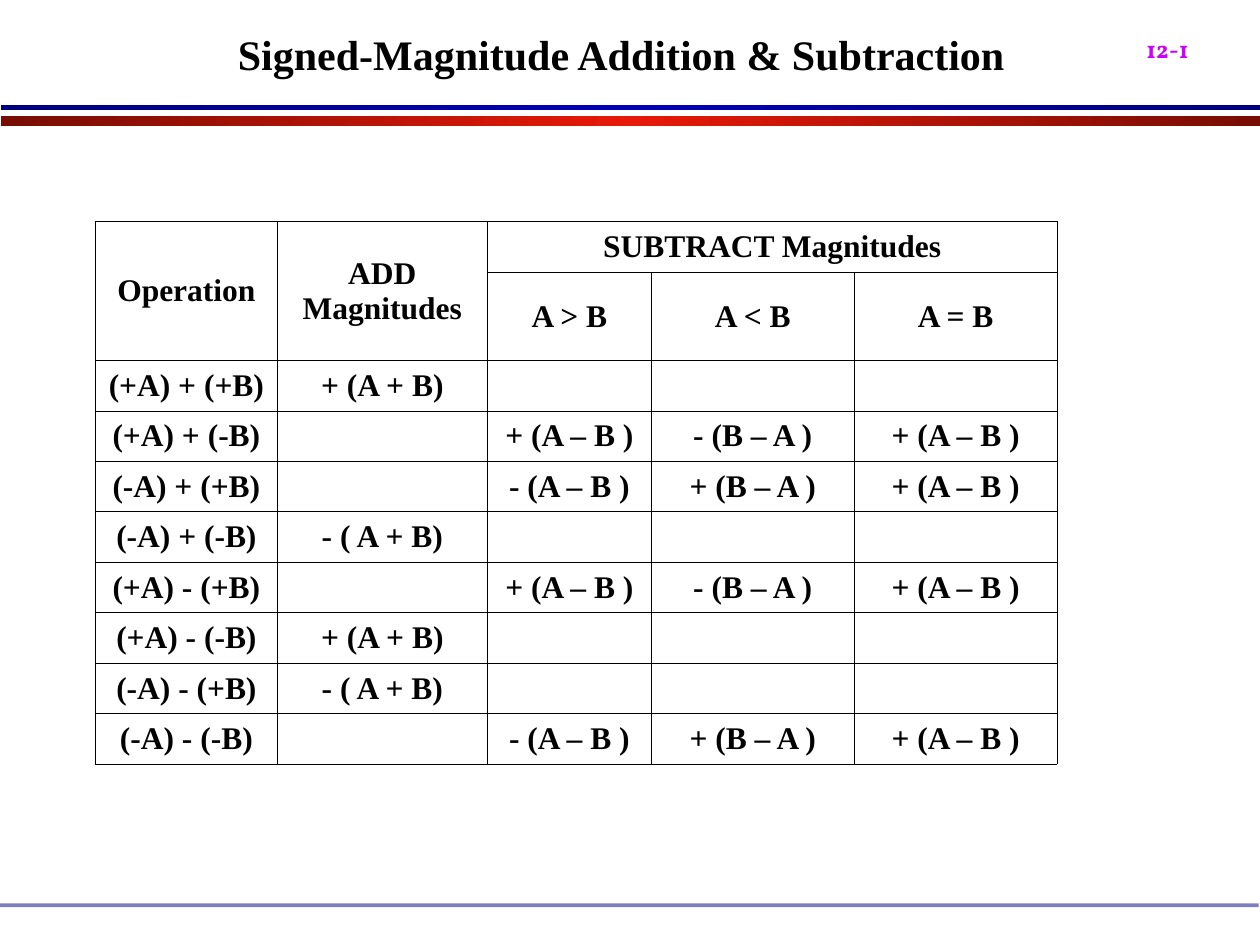
from copy import deepcopy
from dataclasses import dataclass
from typing import Any

from lxml.etree import SubElement
from pptx import Presentation
from pptx.dml.color import RGBColor
from pptx.enum.shapes import MSO_SHAPE
from pptx.enum.text import MSO_ANCHOR, PP_ALIGN
from pptx.oxml import parse_xml
from pptx.oxml.ns import nsdecls, qn
from pptx.util import Inches, Pt


@dataclass(frozen=True)
class Theme:
    """Colours, fonts and type sizes of the slide."""
    ink: str = "000000"
    number: str = "CC00FF"
    red_edge: str = "770D05"
    red_mid: str = "E71909"
    blue_edge: str = "00007F"
    blue_mid: str = "0000B6"
    footer: str = "000082"
    body_font: str = "Times New Roman"
    number_font: str = "Vollkorn"
    title_size: float = 24
    cell_size: float = 18
    border: float = 0.45


@dataclass(frozen=True)
class Bar:
    """A rule across the slide; with a middle colour it is a gradient."""
    left: float
    top: float
    height: float
    edge: str
    middle: str = ""


@dataclass(frozen=True)
class Operation:
    """One table row: the operation and its results."""
    name: str
    add: str = ""
    greater: str = ""
    less: str = ""
    equal: str = ""


T = Theme()
BAR_WIDTH = 9.99
BARS = [
    Bar(0.01, 0.92, 0.08, T.red_edge, T.red_mid),
    Bar(0.01, 0.83, 0.04, T.blue_edge, T.blue_mid),
    Bar(0, 7.17, 0.03, T.footer),
]
A_MINUS_B, B_MINUS_A = "(A – B )", "(B – A )"
PLUS_FIRST = ("", f"+ {A_MINUS_B}", f"- {B_MINUS_A}", f"+ {A_MINUS_B}")
MINUS_FIRST = ("", f"- {A_MINUS_B}", f"+ {B_MINUS_A}", f"+ {A_MINUS_B}")
OPERATIONS = [
    Operation("(+A) + (+B)", "+ (A + B)"),
    Operation("(+A) + (-B)", *PLUS_FIRST),
    Operation("(-A) + (+B)", *MINUS_FIRST),
    Operation("(-A) + (-B)", "- ( A + B)"),
    Operation("(+A) - (+B)", *PLUS_FIRST),
    Operation("(+A) - (-B)", "+ (A + B)"),
    Operation("(-A) - (+B)", "- ( A + B)"),
    Operation("(-A) - (-B)", *MINUS_FIRST),
]
HEADER = [
    ("Operation", "ADD\nMagnitudes", "SUBTRACT Magnitudes", "", ""),
    ("", "", "A > B", "A < B", "A = B"),
]
MERGES = [((0, 0), (1, 0)), ((0, 1), (1, 1)), ((0, 2), (0, 4))]
COLUMN_WIDTHS = [1.44, 1.67, 1.3, 1.61, 1.61]
ROW_HEIGHT, SUBHEADER_HEIGHT = 0.4, 0.7


def set_all(target: Any, values: dict[str, Any]) -> None:
    """Set every attribute named in the dict."""
    for name, value in values.items():
        setattr(target, name, value)


def write(tf: Any, text: str, size: float, font: str, color: str, align: Any) -> None:
    """Fill a text frame with bold paragraphs, one for each line."""
    tf.text = text
    for p in tf.paragraphs:
        p.alignment = align
        set_all(p.font, {"size": Pt(size), "bold": True, "name": font})
        for r in p.runs:
            set_all(r.font, {"size": Pt(size), "bold": True, "name": font})
            r.font.color.rgb = RGBColor.from_string(color)


def add_bar(s: Any, bar: Bar) -> None:
    """Draw one rule."""
    sp = s.shapes.add_shape(MSO_SHAPE.RECTANGLE, Inches(bar.left), Inches(bar.top),
                            Inches(BAR_WIDTH), Inches(bar.height))
    sp.shadow.inherit = False
    sp.line.fill.background()
    if bar.middle:
        sp.fill.gradient()
        sp.fill.gradient_angle = 0
        for stop, color, position in zip(sp.fill.gradient_stops,
                                         (bar.edge, bar.middle), (0, 0.5)):
            stop.color.rgb = RGBColor.from_string(color)
            stop.position = position
        stops = sp._element.xpath(".//a:gsLst")[0]
        last = deepcopy(stops[0])
        last.set("pos", "100000")
        stops.append(last)
    else:
        sp.fill.solid()
        sp.fill.fore_color.rgb = RGBColor.from_string(bar.edge)
        color = sp._element.xpath("./p:spPr/a:solidFill/a:srgbClr")[0]
        SubElement(color, qn("a:alpha"), val="50000")


def add_title(s: Any) -> None:
    """Place and format the title placeholder."""
    sp = s.shapes.title
    set_all(sp, {"left": Inches(0.59), "top": Inches(0.18),
                 "width": Inches(8.68), "height": Inches(0.5)})
    write(sp.text_frame, "Signed-Magnitude Addition & Subtraction",
          T.title_size, T.body_font, T.ink, PP_ALIGN.CENTER)
    set_all(sp.text_frame, {"vertical_anchor": MSO_ANCHOR.MIDDLE, "word_wrap": True})


def add_number(s: Any) -> None:
    """Write the lowered page number in the top right corner."""
    sp = s.shapes.add_textbox(Inches(9), Inches(0), Inches(1.08), Inches(0.56))
    tf = sp.text_frame
    tf.word_wrap = True
    write(tf, "12-1", T.title_size, T.number_font, T.number, PP_ALIGN.LEFT)
    p = tf.paragraphs[0]
    p.space_before = Pt(15)
    p.runs[0].font._element.set("baseline", "-25000")


def format_cell(cell: Any, text: str) -> None:
    """Write a cell and give it four thin borders and no fill."""
    write(cell.text_frame, text, T.cell_size, T.body_font, T.ink, PP_ALIGN.CENTER)
    set_all(cell, {"vertical_anchor": MSO_ANCHOR.MIDDLE,
                   "margin_left": Inches(0.09), "margin_right": Inches(0.09),
                   "margin_top": Inches(0.05), "margin_bottom": Inches(0.05)})
    cell.fill.background()
    tc_pr = cell._tc.get_or_add_tcPr()
    for i, side in enumerate("LRTB"):
        tc_pr.insert(i, parse_xml(
            f'<a:ln{side} {nsdecls("a")} w="{int(Pt(T.border))}"><a:solidFill>'
            f'<a:srgbClr val="{T.ink}"/></a:solidFill></a:ln{side}>'))


def add_operations_table(s: Any) -> None:
    """Build the table of operations."""
    rows = HEADER + [(o.name, o.add, o.greater, o.less, o.equal) for o in OPERATIONS]
    heights = [ROW_HEIGHT] * len(rows)
    heights[1] = SUBHEADER_HEIGHT
    table = s.shapes.add_table(len(rows), len(COLUMN_WIDTHS), Inches(0.76), Inches(1.76),
                               Inches(sum(COLUMN_WIDTHS)), Inches(sum(heights))).table
    set_all(table, {"first_row": False, "horz_banding": False})
    for column, width in zip(table.columns, COLUMN_WIDTHS):
        column.width = Inches(width)
    for i, (values, height) in enumerate(zip(rows, heights)):
        table.rows[i].height = Inches(height)
        for j, text in enumerate(values):
            format_cell(table.cell(i, j), text)
    for first, last in MERGES:
        table.cell(*first).merge(table.cell(*last))


def main() -> None:
    """Build and save the slide."""
    prs = Presentation()
    set_all(prs, {"slide_width": Inches(10), "slide_height": Inches(7.5)})
    s = prs.slides.add_slide(prs.slide_layouts[5])
    for bar in BARS:
        add_bar(s, bar)
    add_number(s)
    add_operations_table(s)
    add_title(s)
    prs.save("out.pptx")


main()
